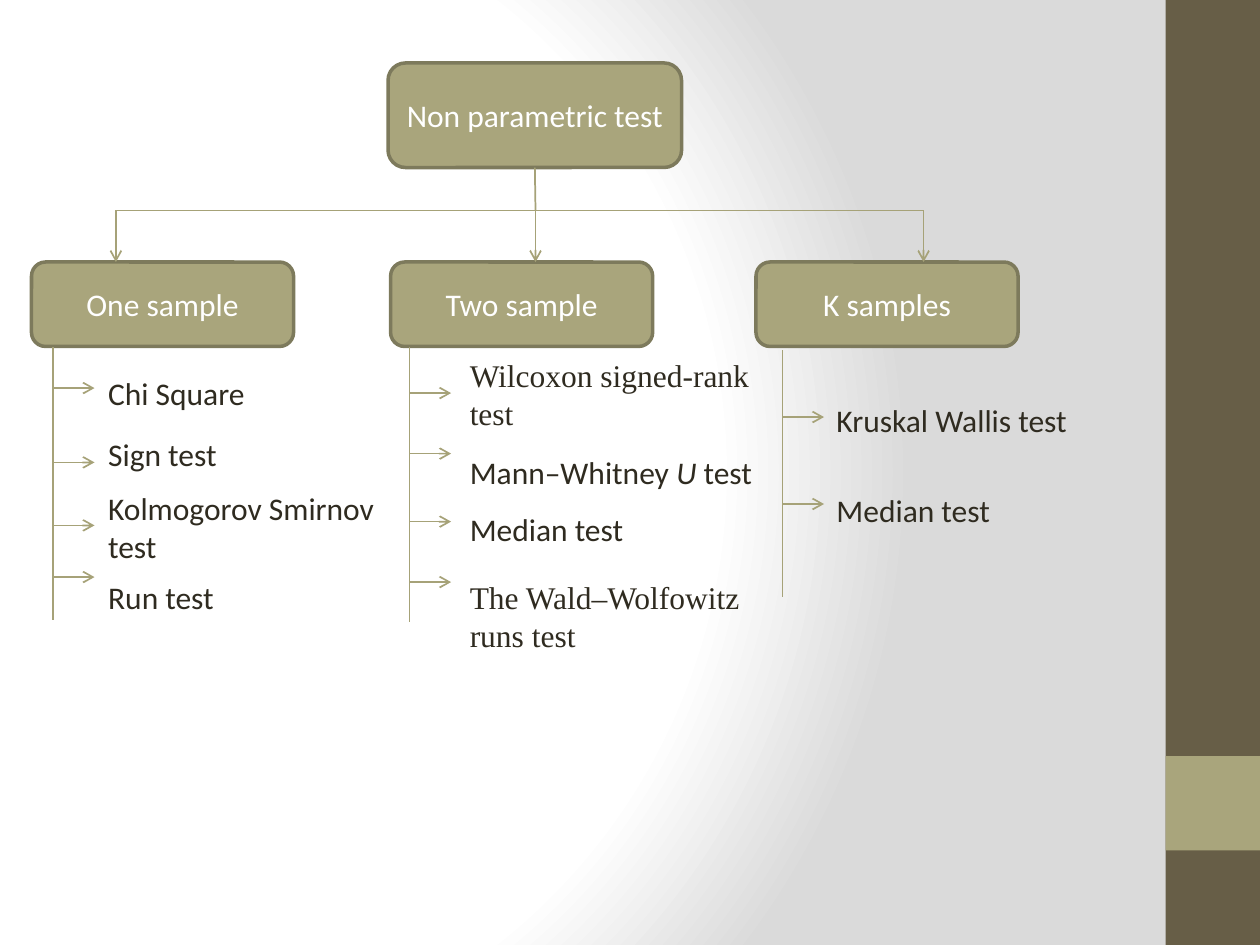
from lxml import etree
from pptx import Presentation
from pptx.dml.color import RGBColor
from pptx.enum.shapes import MSO_CONNECTOR, MSO_SHAPE
from pptx.enum.text import MSO_ANCHOR, MSO_AUTO_SIZE, PP_ALIGN
from pptx.oxml import parse_xml
from pptx.oxml.ns import nsdecls, qn
from pptx.util import Inches, Pt

OLIVE, OLIVE_EDGE, OLIVE_LINE = "A9A57C", "7D7A5C", "A6A278"
BROWN, INK, WHITE = "675E47", "2F2B20", "FFFFFF"
SANS, SERIF = "Calibri", "Times New Roman"

BAR_TOP, GROUP_TOP = 1.67, 2.08
GROUP_WIDTH, GROUP_HEIGHT = 2.08, 0.67
TICK, LABEL_WIDTH = 0.33, 2.55

# Each test: words (italic between asterisks), arrow y, label top, label height, font
GROUPS = [
    dict(name="One sample", left=0.25, drop=0.92, stem=(0.42, 2.75, 4.92), label=0.76, tests=[
        ("Chi Square", 3.08, 2.92, 0.4, SANS),
        ("Sign test", 3.67, 3.4, 0.42, SANS),
        ("Kolmogorov Smirnov test", 4.17, 3.83, 0.71, SANS),
        ("Run test", 4.58, 4.54, 0.4, SANS)]),
    dict(name="Two sample", left=3.1, drop=4.25, stem=(3.25, 2.75, 4.94), label=3.63, tests=[
        ("Wilcoxon signed-rank test", 3.12, 2.78, 0.71, SERIF),
        ("Mann–Whitney *U* test", 3.6, 3.55, 0.4, SANS),
        ("Median test", 4.14, 4, 0.4, SANS),
        ("The Wald–Wolfowitz runs test", 4.62, 4.54, 0.71, SERIF)]),
    dict(name="K samples", left=6, drop=7.33, stem=(6.21, 2.78, 4.74), label=6.54, tests=[
        ("Kruskal Wallis test", 3.31, 3.13, 0.42, SANS),
        ("Median test", 4, 3.85, 0.4, SANS)]),
]


def color(value):
    return RGBColor.from_string(value)


def set_font(para, face, value):
    para.font.name = face
    para.font.size = Pt(18)
    para.font.color.rgb = color(value)


def add_block(page, kind, left, top, width, height, fill, edge=None):
    block = page.shapes.add_shape(kind, Inches(left), Inches(top), Inches(width), Inches(height))
    block.shadow.inherit = False
    block.fill.solid()
    block.fill.fore_color.rgb = color(fill)
    if edge:
        block.line.color.rgb = color(edge)
        block.line.width = Pt(2)
    else:
        block.line.fill.background()
    return block


def add_node(page, name, left, top, width, height):
    node = add_block(page, MSO_SHAPE.ROUNDED_RECTANGLE, left, top, width, height, OLIVE, OLIVE_EDGE)
    frame = node.text_frame
    frame.word_wrap = True
    frame.vertical_anchor = MSO_ANCHOR.MIDDLE
    para = frame.paragraphs[0]
    para.text = name
    para.alignment = PP_ALIGN.CENTER
    set_font(para, SANS, WHITE)
    return node


def add_line(page, x1, y1, x2, y2, arrow=False):
    line = page.shapes.add_connector(
        MSO_CONNECTOR.STRAIGHT, Inches(x1), Inches(y1), Inches(x2), Inches(y2))
    line.line.color.rgb = color(OLIVE_LINE)
    line.line.width = Pt(1)
    if arrow:
        etree.SubElement(line.line._get_or_add_ln(), qn("a:tailEnd"), type="arrow")
    etree.SubElement(line._element.spPr, qn("a:effectLst"))
    return line


def add_label(page, words, left, top, width, height, face):
    """Add a text box; words between asterisks become italic."""
    box = page.shapes.add_textbox(Inches(left), Inches(top), Inches(width), Inches(height))
    frame = box.text_frame
    frame.word_wrap = True
    frame.auto_size = MSO_AUTO_SIZE.SHAPE_TO_FIT_TEXT
    para = frame.paragraphs[0]
    set_font(para, face, INK)
    for index, part in enumerate(words.split("*")):
        span = para.add_run()
        span.text = part
        if index % 2:
            span.font.italic = True


def set_background(page):
    """Fill the page with a radial gradient from white to grey."""
    page.background.fill.gradient()
    old = page.element.find(".//" + qn("a:gradFill"))
    stops = "".join(
        f'<a:gs pos="{place * 1000}"><a:srgbClr val="{value}"/></a:gs>'
        for place, value in [(0, WHITE), (75, WHITE), (100, "DADADA")])
    old.getparent().replace(old, parse_xml(
        f'<a:gradFill {nsdecls("a")} rotWithShape="1"><a:gsLst>{stops}</a:gsLst>'
        '<a:path path="circle"><a:fillToRect l="20000" t="50000" r="100000" b="50000"/>'
        '</a:path></a:gradFill>'))


def add_sidebar(page, left, width, height):
    add_block(page, MSO_SHAPE.RECTANGLE, left, 0, width, height, BROWN)
    add_block(page, MSO_SHAPE.RECTANGLE, left, height - 2 * width, width, width, OLIVE)


def add_group(page, name, left, drop, stem, label, tests):
    """Add one branch: its node, the arrow into it and its list of tests."""
    add_node(page, name, left, GROUP_TOP, GROUP_WIDTH, GROUP_HEIGHT)
    add_line(page, drop, BAR_TOP, drop, GROUP_TOP, arrow=True)
    x, top, bottom = stem
    add_line(page, x, top, x, bottom)
    for words, arrow_y, label_top, height, face in tests:
        add_line(page, x, arrow_y, x + TICK, arrow_y, arrow=True)
        add_label(page, words, label, label_top, LABEL_WIDTH, height, face)


def add_tree(page):
    root = add_node(page, "Non parametric test", 3.08, 0.5, 2.33, 0.83)
    trunk = add_line(page, 4.25, 1.33, 4.25, BAR_TOP)
    trunk.begin_connect(root, 2)
    add_line(page, GROUPS[0]["drop"], BAR_TOP, GROUPS[-1]["drop"], BAR_TOP)
    for group in GROUPS:
        add_group(page, **group)


def main():
    deck = Presentation()
    deck.slide_width, deck.slide_height = Inches(10), Inches(7.5)
    page = deck.slides.add_slide(deck.slide_layouts[6])
    set_background(page)
    add_sidebar(page, 9.25, 0.75, 7.5)
    add_tree(page)
    deck.save("out.pptx")


if __name__ == "__main__":
    main()
